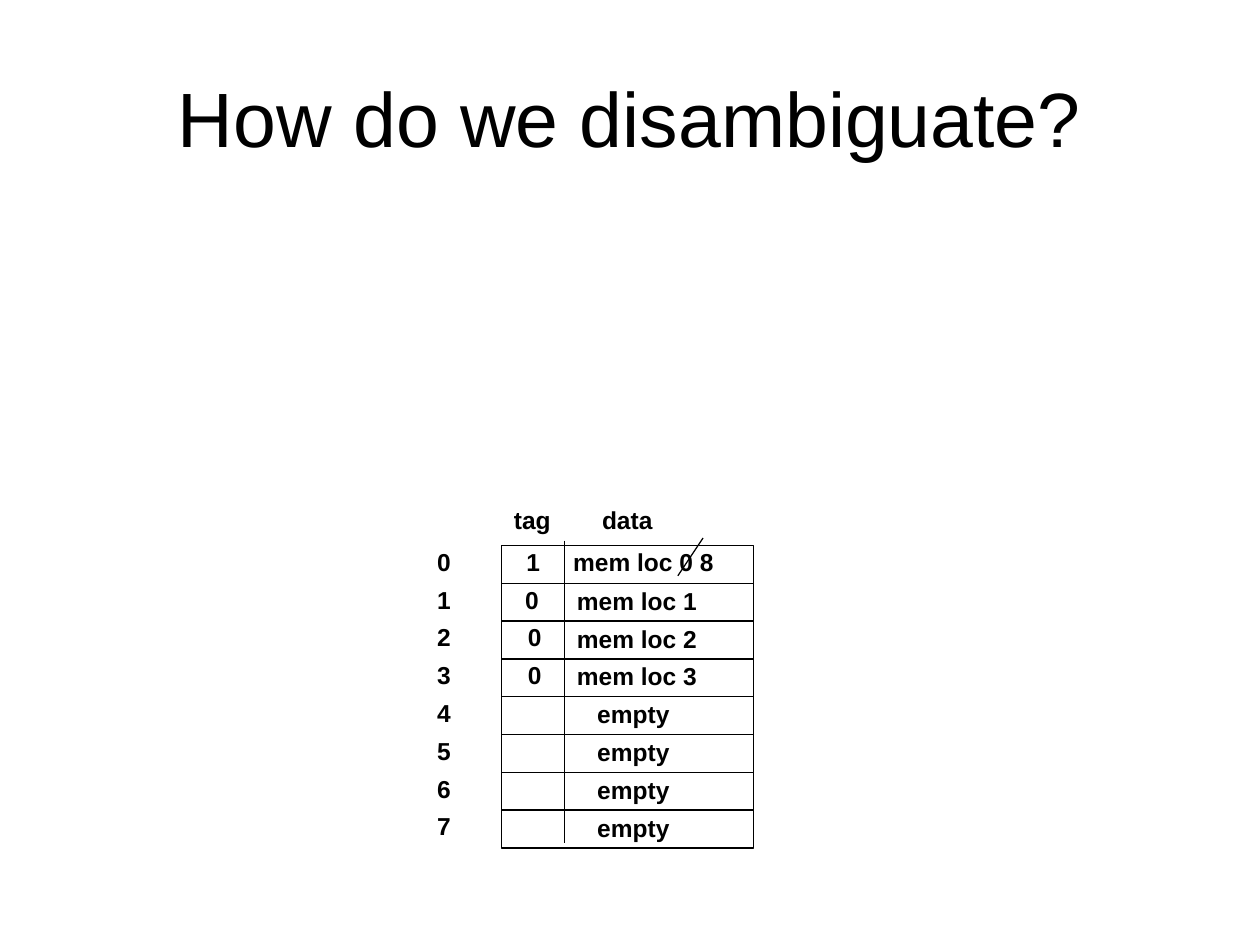
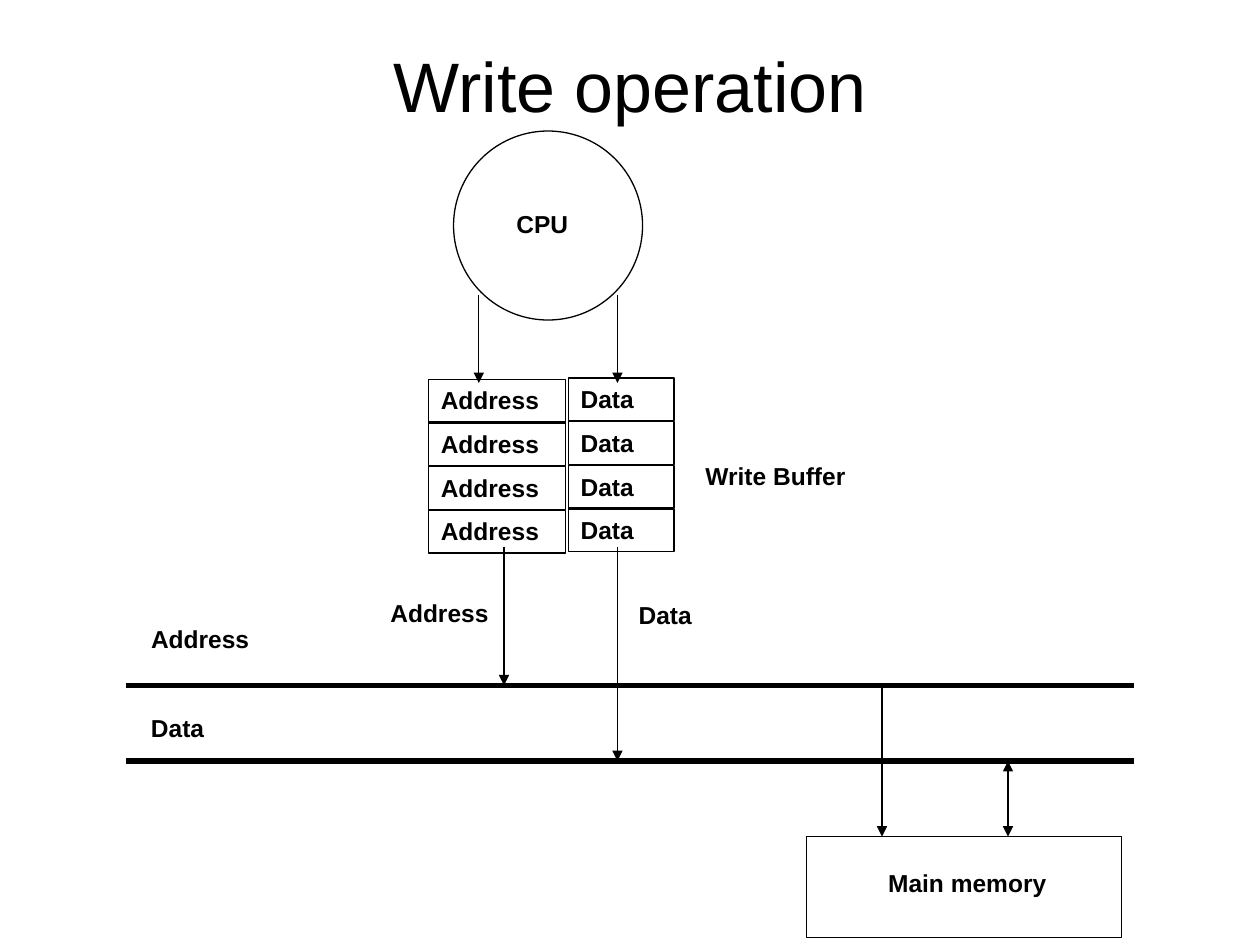
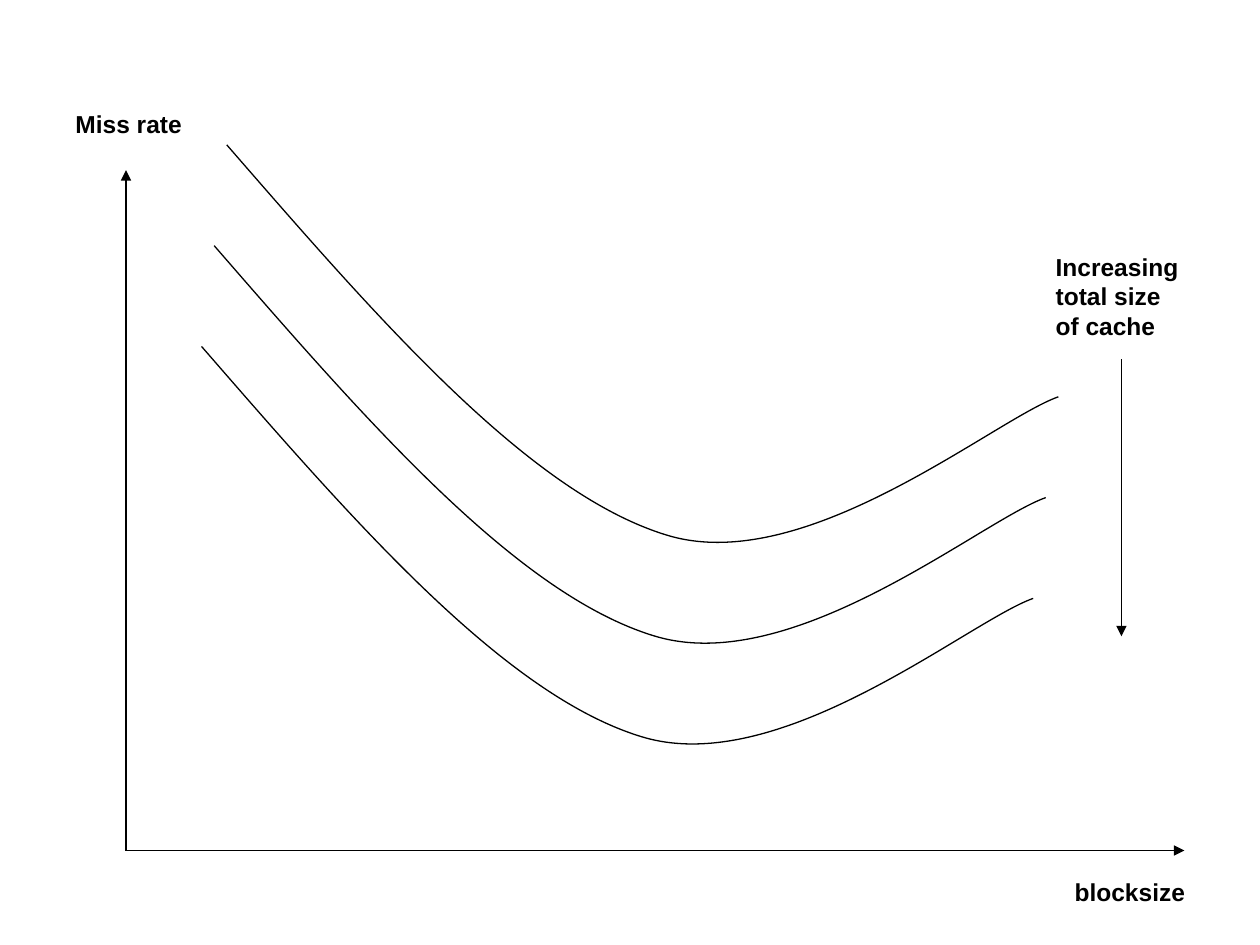
from pptx import Presentation
from pptx.dml.color import RGBColor
from pptx.enum.shapes import MSO_CONNECTOR, MSO_SHAPE
from pptx.enum.text import MSO_ANCHOR, MSO_AUTO_SIZE, PP_ALIGN
from pptx.oxml.ns import qn
from pptx.util import Inches, Pt
from lxml.etree import SubElement

WIDE, HIGH = 10, 7.5
FONT = "Arial"
HUE = {"ink": "000000", "page": "FFFFFF"}
THIN, BUS = 0.75, 3
LINE, PAD = 0.34, 0.1

CACHE = [
    ("1", 4.08, "mem loc 0 8", 4.45, 1.48, PAD),
    ("0", 4.07, "mem loc 1", 4.48, 1.26, PAD),
    ("0", 4.09, "mem loc 2", 4.48, 1.26, PAD),
    ("0", 4.09, "mem loc 3", 4.48, 1.26, PAD),
    *[("", 0, "empty", 4.48, 1.1, 0.26)] * 4,
]
HEADS = [("tag", 3.98, 0.49), ("data", 4.68, 0.6)]

FIELDS = [("Address", 3.4, 3.01, 1.09), ("Data", 4.51, 3, 0.84)]
DEPTH, STEP = 4, 1.04 / 3
BUSES = [5.44, 6.04]
FLOWS = [
    (3.8, 2.34, 3.04, ["tail"]),
    (4.9, 2.34, 3.04, ["tail"]),
    (4, 4.34, BUSES[0], ["tail"]),
    (4.9, 4.34, BUSES[1], ["tail"]),
    (7, BUSES[0], 6.64, ["tail"]),
    (8, BUSES[1], 6.64, ["head", "tail"]),
]
NAMES = [
    ("CPU", 4, 1.61, 0.66),
    ("Main memory", 6.95, 6.84, 1.51),
    ("Address", 3, 4.7, 1.3),
    ("Data", 4.97, 4.71, 0.73),
    ("Address", 1.1, 4.9, 1.09),
    ("Data", 1.1, 5.61, 0.73),
    ("Write Buffer", 5.5, 3.61, 1.42),
]

AXES = [
    (1, 6.75, 9.4, 6.75, ["tail"]),
    (1, 6.75, 1, 1.35, ["tail"]),
    (8.9, 5.05, 8.9, 2.85, ["head"]),
]
NOTES = [
    ("Miss rate", 0.5, 0.82, 1.15),
    ("blocksize", 8.43, 6.91, 1.08),
    ("Increasing\ntotal size\nof cache", 8.28, 1.95, 1.34),
]
STARTS = [(1.6, 2.75), (1.7, 1.95), (1.8, 1.15)]
BENDS = [(1.2, 1.38), (2.4, 2.77), (3.5, 3.1),
         (4.6, 3.43), (6.09, 2.18), (6.6, 2)]


def ink(line, size=THIN):
    line.color.rgb = RGBColor.from_string(HUE["ink"])
    line.width = Pt(size)


def write(frame, text, size=14, bold=True, align=PP_ALIGN.LEFT):
    frame.text = text
    for para in frame.paragraphs:
        para.alignment = align
        font = para.font
        font.name, font.size, font.bold = FONT, Pt(size), bold
        font.color.rgb = RGBColor.from_string(HUE["ink"])


def fit(frame, text, pad=PAD):
    write(frame, text)
    frame.margin_left = Inches(pad)
    frame.word_wrap = False
    frame.vertical_anchor = MSO_ANCHOR.TOP
    frame.auto_size = MSO_AUTO_SIZE.SHAPE_TO_FIT_TEXT


def label(slide, text, x, y, w, pad=PAD):
    h = LINE + 0.23 * text.count("\n")
    box = slide.shapes.add_textbox(*map(Inches, (x, y, w, h)))
    fit(box.text_frame, text, pad)


def title(slide, text, size, h):
    box = slide.shapes.add_textbox(
        *map(Inches, (WIDE * 0.05, HIGH * 0.04, WIDE * 0.9, h)))
    frame = box.text_frame
    frame.word_wrap = True
    frame.vertical_anchor = MSO_ANCHOR.MIDDLE
    write(frame, text, size, False, PP_ALIGN.CENTER)


def plain(shape):
    shape.shadow.inherit = False
    shape.fill.background()
    ink(shape.line)


def block(slide, x, y, w, h, kind=MSO_SHAPE.RECTANGLE, text=""):
    shape = slide.shapes.add_shape(kind, *map(Inches, (x, y, w, h)))
    plain(shape)
    if text:
        fit(shape.text_frame, text)


def link(slide, x1, y1, x2, y2, tips=(), size=THIN):
    wire = slide.shapes.add_connector(
        MSO_CONNECTOR.STRAIGHT, *map(Inches, (x1, y1, x2, y2)))
    ink(wire.line, size)
    props = wire._element.spPr
    for tip in tips:
        SubElement(props.find(qn("a:ln")), qn(f"a:{tip}End"), type="triangle")
    SubElement(props, qn("a:effectLst"))


def curve(slide, x, y):
    maker = slide.shapes.build_freeform(Inches(x), Inches(y))
    maker.add_line_segments(
        [(Inches(x + u), Inches(y + v)) for u, v in BENDS], close=False)
    shape = maker.convert_to_shape()
    plain(shape)
    legs = list(shape._element.iter(qn("a:lnTo")))
    trace = legs[0].getparent()
    for n in range(0, len(legs), 3):
        cubic = SubElement(trace, qn("a:cubicBezTo"))
        for leg in legs[n:n + 3]:
            cubic.append(leg[0])
            trace.remove(leg)


def lookup(slide):
    left, top, row = 3.98, 4.33, 0.3
    for n, (tag, spot, data, x, w, pad) in enumerate(CACHE):
        y = top + n * row
        block(slide, left, y, 2, row)
        label(slide, str(n), 3.37, y - 0.04, 0.31)
        label(slide, data, x, y - (0.03 if n else 0.04), w, pad)
        if tag:
            label(slide, tag, spot, y - 0.04, 0.31)
    for text, x, w in HEADS:
        label(slide, text, x, 3.96, w)
    link(slide, 5.38, 4.57, 5.58, 4.27)
    link(slide, 4.48, 4.29, 4.48, 6.69)
    title(slide, "How do we disambiguate?", 44, 1.25)


def buffer(slide):
    group = slide.shapes.add_group_shape()
    block(group, 3.6, 1.04, 1.5, 1.5, MSO_SHAPE.OVAL)
    block(group, 6.4, 6.64, 2.5, 0.8)
    for y in BUSES:
        link(group, WIDE * 0.1, y, WIDE * 0.9, y, size=BUS)
    for n in range(DEPTH):
        for text, x, y, w in FIELDS:
            block(group, x, y + n * STEP, w, LINE, text=text)
    for x, y1, y2, tips in FLOWS:
        link(group, x, y1, x, y2, tips)
    for name in NAMES:
        label(group, *name)
    title(slide, "Write operation", 40, 0.74)


def rates(slide):
    for axis in AXES:
        link(slide, *axis)
    for start in STARTS:
        curve(slide, *start)
    for note in NOTES:
        label(slide, *note)


def main():
    deck = Presentation()
    deck.slide_width, deck.slide_height = Inches(WIDE), Inches(HIGH)
    for draw in (lookup, buffer, rates):
        slide = deck.slides.add_slide(deck.slide_layouts[6])
        fill = slide.background.fill
        fill.solid()
        fill.fore_color.rgb = RGBColor.from_string(HUE["page"])
        draw(slide)
    deck.save("out.pptx")


if __name__ == "__main__":
    main()
